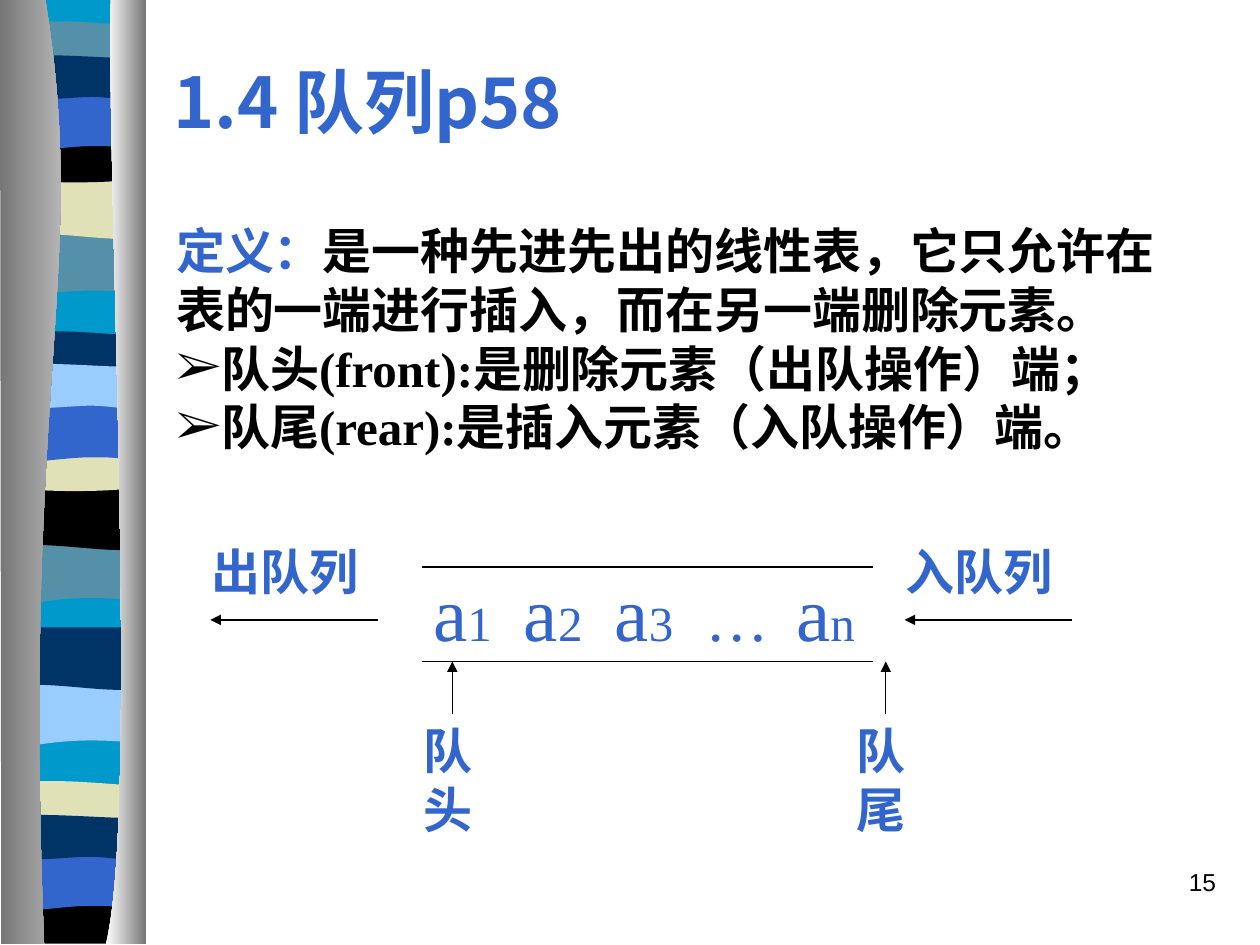
from lxml import etree
from pptx import Presentation
from pptx.dml.color import RGBColor
from pptx.enum.shapes import MSO_CONNECTOR
from pptx.enum.text import MSO_ANCHOR, PP_ALIGN
from pptx.oxml.ns import qn
from pptx.util import Inches, Pt

STRAIGHT = MSO_CONNECTOR.STRAIGHT
TOP, MIDDLE = MSO_ANCHOR.TOP, MSO_ANCHOR.MIDDLE
LEFT, RIGHT = PP_ALIGN.LEFT, PP_ALIGN.RIGHT
COLORS = {"sky": "0099CC", "teal": "5490A8", "sand": "E1E1B7", "navy": "003366",
          "black": "000000", "blue": "3366CC", "pale": "99CCFF",
          "gray": "767676", "light": "D3D3D3", "white": "FFFFFF"}
RGB = {name: RGBColor.from_string(value) for name, value in COLORS.items()}

prs = Presentation()
prs.slide_width, prs.slide_height = Inches(10), Inches(7.5)
s = prs.slides.add_slide(prs.slide_layouts[6])


def add_outline(path, left, top):
    """Closed outline: pairs are corners, sextuples are cubic curves."""
    points = [(Inches(left + seg[i]), Inches(top + seg[i + 1]))
              for seg in path for i in range(0, len(seg), 2)]
    fb = s.shapes.build_freeform(*points[0])
    fb.add_line_segments(points[1:], close=True)
    sp = fb.convert_to_shape()
    # Join the three points of each curve into one Bezier segment
    steps = iter(list(sp._element.iter(qn("a:lnTo"))))
    for seg in path[1:]:
        step = next(steps)
        if len(seg) == 6:
            step.addprevious(curve := etree.Element(qn("a:cubicBezTo")))
            for part in (step, next(steps), next(steps)):
                curve.append(part[0])
                part.getparent().remove(part)
    sp.shadow.inherit = False
    sp.line.fill.background()
    return sp


def add_text(box, paragraphs, fmt, align=LEFT, anchor=TOP, wrap=True):
    """Each paragraph is a list of (text, format changes)."""
    tf = s.shapes.add_textbox(*map(Inches, box)).text_frame
    tf.word_wrap, tf.vertical_anchor = wrap, anchor
    for i, runs in enumerate(paragraphs):
        p = tf.add_paragraph() if i else tf.paragraphs[0]
        p.alignment = align
        for text, changes in runs:
            r = p.add_run()
            r.text = text
            look = {**fmt, **changes}
            r.font.color.rgb = RGB[look.pop("color")]
            for key, value in look.items():
                setattr(r.font, key, value)
    return tf


# Ribbon: wavy band motifs, 1.07 wide, repeated down the left side
W = 1.07
MOTIFS = {
    "base": [(W, 0), (W, 7.47), (0, 7.47), (0, 0)],
    "slant": [(W, 0), (W, .47), (.33, .39, .18, .55, 0, .47), (0, 0)],
    "swell": [(W, 0), (W, .47), (.89, .55, .33, .41, 0, .47), (0, 0)],
    "strip": [(W, .05), (W, .29), (.89, .33, .18, .33, 0, .29), (0, .05),
              (.07, 0, .23, .01, .41, .01), (.59, .01, .93, .04, W, .05)],
    "bowl": [(W, 0), (W, .33), (.89, .38, .18, .38, 0, .33), (0, 0),
             (.65, .05, .84, 0, W, 0)],
    "arch": [(W, 0), (W, .47), (.9, .42, .83, .42, .66, .42),
             (.48, .42, .16, .47, 0, .47), (0, 0)],
    "wave": [(W, .05), (W, .36), (1, .41, .84, .36, .66, .36),
             (.48, .36, .11, .41, 0, .36), (0, .05), (.15, 0, .73, .05, .9, .05),
             (1.08, .05, 1.03, .05, W, .05)],
    "foot": [(W, 0), (W, .37), (0, .37), (0, 0), (.65, .05, .84, 0, W, 0)],
}
BANDS = [
    ("base", "sky", .07, 0), ("slant", "teal", .06, 1.86), ("swell", "sand", .07, 1.4),
    ("strip", "teal", .07, .16), ("bowl", "black", .06, 1.08), ("arch", "blue", .07, .74),
    ("wave", "navy", .07, .41), ("slant", "teal", .05, 4.3), ("swell", "black", .06, 3.87),
    ("strip", "navy", .06, 2.62), ("bowl", "sand", .06, 3.53), ("arch", "blue", .06, 3.21),
    ("wave", "pale", .06, 2.86), ("slant", "pale", .05, 5.43), ("swell", "navy", .06, 4.98),
    ("strip", "sand", .05, 6.19), ("foot", "black", .05, 7.12), ("arch", "blue", .05, 6.77),
    ("wave", "navy", .05, 6.44),
]
for motif, color, left, top in BANDS:
    sp = add_outline(MOTIFS[motif], left, top)
    sp.fill.solid()
    sp.fill.fore_color.rgb = RGB[color]

# Shaded edges on both sides of the ribbon
EDGES = [
    ([(.36, 0), (.71, 2.16, .17, 2.96, .35, 7.49), (.01, 7.49), (0, 0)],
     ("gray", "light")),
    ([(.88, 0), (.84, 1.25, 1.11, 6.46, .84, 7.49), (1.16, 7.49), (1.16, 0)],
     ("white", "gray")),
]
for path, shades in EDGES:
    sp = add_outline(path, 0, 0)
    sp.fill.gradient()
    sp.fill.gradient_angle = 0
    for stop, shade in zip(sp.fill.gradient_stops, shades):
        stop.color.rgb = RGB[shade]

# Title
HEADING = {"name": "Noto Sans CJK SC", "size": Pt(40), "bold": True, "color": "blue"}
add_text((1.28, .17, 8.5, 1.25), [[("1.4 队列p58", {})]], HEADING, anchor=MIDDLE)

# Queue rails and arrows
LINES = [
    (3.35, 4.5, 6.93, 4.5, None), (3.35, 5.25, 6.93, 5.25, None),
    (3, 4.92, 1.67, 4.92, "a:tailEnd"), (8.51, 4.92, 7.18, 4.92, "a:tailEnd"),
    (3.59, 5.25, 3.59, 5.67, "a:headEnd"), (7.03, 5.25, 7.03, 5.67, "a:headEnd"),
]
for *ends, arrow in LINES:
    cxn = s.shapes.add_connector(STRAIGHT, *map(Inches, ends))
    cxn.line.color.rgb = RGB["black"]
    cxn.line.width = Pt(.75)
    if arrow:
        etree.SubElement(cxn.line._get_or_add_ln(), qn(arrow), type="triangle")
    etree.SubElement(cxn._element.spPr, qn("a:effectLst"))

# Queue elements on evenly spaced tab stops
SERIF = {"name": "Times New Roman", "size": Pt(28), "color": "blue"}
big, mid = {"size": Pt(44)}, {"size": Pt(36)}
runs = []
for sub in "123":
    runs += [("a", big), (sub + "\t", {})]
runs += [("…\t", mid), ("a", big), ("n", {})]
tf = add_text((3.34, 4.43, 3.58, .84), [runs], SERIF, wrap=False)
tabs = etree.SubElement(tf.paragraphs[0]._p.get_or_add_pPr(), qn("a:tabLst"))
for i in range(1, 5):
    etree.SubElement(tabs, qn("a:tab"), pos=str(Inches(.72 * i)), algn="l")

# Queue labels
BOLD = {**SERIF, "bold": True}
for text, box in [("出队列", (1.58, 4.25, 1.58, .57)), ("入队列", (7.09, 4.25, 1.58, .57)),
                  ("队头", (3.26, 5.67, .67, 1.04)), ("队尾", (6.7, 5.67, .67, 1.04))]:
    add_text(box, [[(text, {})]], BOLD)

# Definition with two bullets
black = {"color": "black"}
tf = add_text((1.3, 1.7, 8.27, 1.97), [
    [("定义：", {}),
     ("是一种先进先出的线性表，它只允许在表的一端进行插入，而在另一端删除元素。", black)],
    [("队头(front):是删除元素（出队操作）端；", black)],
    [("队尾(rear):是插入元素（入队操作）端。", black)],
], BOLD)
for p in tf.paragraphs[1:]:
    pPr = p._p.get_or_add_pPr()
    pPr.set("marL", "0")
    pPr.set("indent", "0")
    etree.SubElement(pPr, qn("a:buFont"), typeface="Times New Roman")
    etree.SubElement(pPr, qn("a:buChar"), char="➢")

# Page number
add_text((7.67, 6.83, 2.08, .5), [[("15", {})]],
         {"name": "Arial", "size": Pt(14), "color": "black"}, align=RIGHT)

prs.save("out.pptx")
